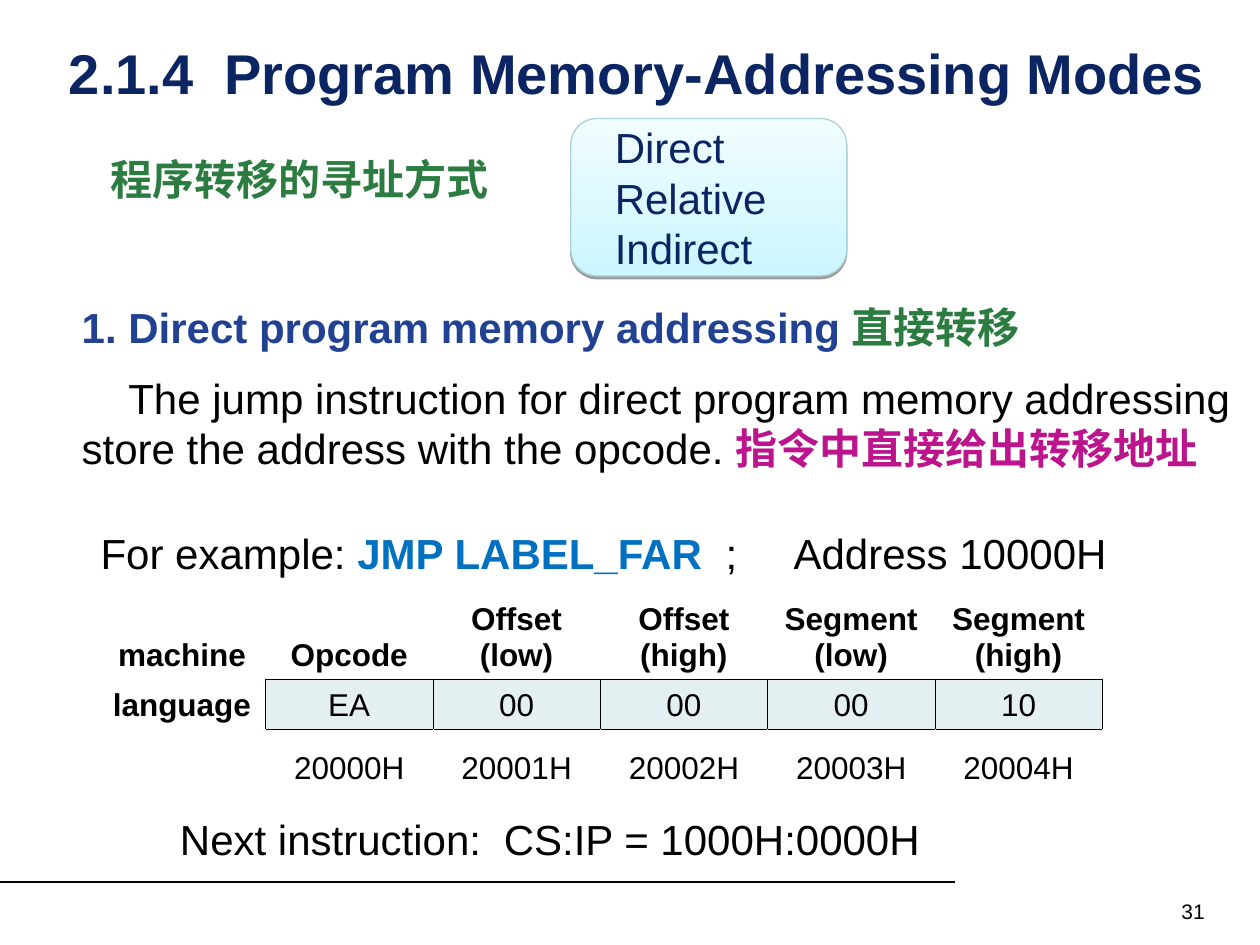
from lxml.etree import SubElement
from pptx import Presentation
from pptx.dml.color import RGBColor
from pptx.enum.shapes import MSO_CONNECTOR, MSO_SHAPE
from pptx.enum.text import MSO_ANCHOR, MSO_AUTO_SIZE, PP_ALIGN
from pptx.oxml.ns import qn
from pptx.util import Inches, Pt

BLACK, WHITE = "000000", "FFFFFF"
NAVY, BLUE, SKY = "0A2562", "214192", "0070C0"
GREEN, MAGENTA = "2C7C41", "BC148C"
DATA_FILL = "E4EFF2"
DATA_ROW = 1
MACHINE_CODE = [
    ["machine", "Opcode", "Offset\n(low)", "Offset\n(high)", "Segment\n(low)", "Segment\n(high)"],
    ["language", "EA", "00", "00", "00", "10"],
    ["", "20000H", "20001H", "20002H", "20003H", "20004H"],
]


def rgb(hex_color):
    return RGBColor.from_string(hex_color)


def add_run(paragraph, text, color=BLACK, bold=False, size=24):
    run = paragraph.add_run()
    run.text = text
    run.font.name = "Arial"
    run.font.size = Pt(size)
    run.font.bold = bold
    run.font.color.rgb = rgb(color)


def set_indent(paragraph, left=0, first=0):
    properties = paragraph._p.get_or_add_pPr()
    properties.set("marL", str(Inches(left)))
    properties.set("indent", str(Inches(first)))


def set_tabs(paragraph, *stops):
    tabs = SubElement(paragraph._p.get_or_add_pPr(), qn("a:tabLst"))
    for stop in stops:
        SubElement(tabs, qn("a:tab"), pos=str(Inches(stop)), algn="l")


def add_text_frame(slide, box):
    frame = slide.shapes.add_textbox(*map(Inches, box)).text_frame
    frame.word_wrap = True
    return frame


def add_title(slide, box):
    title = slide.shapes.title
    title.left, title.top, title.width, title.height = map(Inches, box)
    frame = title.text_frame
    frame.auto_size = MSO_AUTO_SIZE.NONE
    frame.vertical_anchor = MSO_ANCHOR.MIDDLE
    frame.paragraphs[0].alignment = PP_ALIGN.CENTER
    add_run(frame.paragraphs[0], "2.1.4  Program Memory-Addressing Modes", NAVY, True, 32)


def add_subtitle(slide, box):
    paragraph = add_text_frame(slide, box).paragraphs[0]
    add_run(paragraph, "程序转移的寻址方式", GREEN, True)


def add_mode_panel(slide, box):
    """Rounded panel that lists the three addressing modes."""
    panel = slide.shapes.add_shape(MSO_SHAPE.ROUNDED_RECTANGLE, *map(Inches, box))
    panel.fill.gradient()
    panel.fill.gradient_angle = 90
    for stop, color in zip(panel.fill.gradient_stops, ("CCF6FF", "F0FDFF")):
        stop.color.rgb = rgb(color)
    panel.line.color.rgb = rgb("ADD1D8")
    panel.line.width = Pt(0.75)

    panel.shadow.inherit = False
    effects = panel._element.spPr.find(qn("a:effectLst"))
    shadow = SubElement(effects, qn("a:outerShdw"), blurRad="0", dist=str(Pt(1.6)),
                        dir="5400000", rotWithShape="0")
    shadow_color = SubElement(shadow, qn("a:srgbClr"), val=BLACK)
    SubElement(shadow_color, qn("a:alpha"), val="38000")

    frame = panel.text_frame
    frame.vertical_anchor = MSO_ANCHOR.MIDDLE
    for index, mode in enumerate(("Direct", "Relative", "Indirect")):
        paragraph = frame.add_paragraph() if index else frame.paragraphs[0]
        paragraph.alignment = PP_ALIGN.LEFT
        set_indent(paragraph, left=0.19)
        add_run(paragraph, mode, NAVY)


def add_explanation(slide, box):
    frame = add_text_frame(slide, box)
    heading = frame.paragraphs[0]
    add_run(heading, "1. Direct program memory addressing ", BLUE, True)
    add_run(heading, "直接转移", GREEN, True)
    body = frame.add_paragraph()
    body.space_before = Pt(12)
    set_indent(body, first=0.37)
    add_run(body, "The jump instruction for direct program memory addressing "
                  "store the address with the opcode. ")
    add_run(body, "指令中直接给出转移地址", MAGENTA, True)


def add_example(slide, box):
    paragraph = add_text_frame(slide, box).paragraphs[0]
    set_tabs(paragraph, 4.96, 5.5)
    add_run(paragraph, "For example: ")
    add_run(paragraph, "JMP LABEL_FAR", SKY, True)
    add_run(paragraph, "\t;\tAddress 10000H")


def is_data(row, column):
    return row == DATA_ROW and 1 <= column < len(MACHINE_CODE[0])


def set_borders(cell, row, column):
    """Draw an edge black where it touches a data cell, else white."""
    neighbours = {"a:lnL": (row, column - 1), "a:lnR": (row, column + 1),
                  "a:lnT": (row - 1, column), "a:lnB": (row + 1, column)}
    for edge, neighbour in neighbours.items():
        color = BLACK if is_data(row, column) or is_data(*neighbour) else WHITE
        line = SubElement(cell._tc.get_or_add_tcPr(), qn(edge), w=str(Pt(0.45)))
        fill = SubElement(line, qn("a:solidFill"))
        SubElement(fill, qn("a:srgbClr"), val=color)


def add_machine_code(slide, box):
    row_count, column_count = len(MACHINE_CODE), len(MACHINE_CODE[0])
    table = slide.shapes.add_table(row_count, column_count, *map(Inches, box)).table
    table.first_row = table.horz_banding = False
    for row, height in zip(table.rows, (0.7, 0.4, 0.5)):
        row.height = Inches(height)
    for r, texts in enumerate(MACHINE_CODE):
        for c, text in enumerate(texts):
            cell = table.cell(r, c)
            cell.vertical_anchor = MSO_ANCHOR.BOTTOM
            set_borders(cell, r, c)
            if is_data(r, c):
                cell.fill.solid()
                cell.fill.fore_color.rgb = rgb(DATA_FILL)
            else:
                cell.fill.background()
            for index, part in enumerate(text.split("\n") if text else []):
                frame = cell.text_frame
                paragraph = frame.add_paragraph() if index else frame.paragraphs[0]
                paragraph.alignment = PP_ALIGN.CENTER
                add_run(paragraph, part, bold=r == 0 or c == 0, size=18)


def add_next_instruction(slide, box):
    paragraph = add_text_frame(slide, box).paragraphs[0]
    set_tabs(paragraph, 2.57)
    add_run(paragraph, "Next instruction:\tCS:IP = 1000H:0000H")


def add_footer_rule(slide, width, top):
    rule = slide.shapes.add_connector(MSO_CONNECTOR.STRAIGHT, 0, Inches(top),
                                      Inches(width), Inches(top))
    rule.line.color.rgb = rgb(BLACK)
    rule.line.width = Pt(0.75)
    SubElement(rule._element.spPr, qn("a:effectLst"))


def add_page_number(slide, box):
    paragraph = add_text_frame(slide, box).paragraphs[0]
    paragraph.alignment = PP_ALIGN.RIGHT
    add_run(paragraph, "31", size=12)


def main():
    presentation = Presentation()
    presentation.slide_width, presentation.slide_height = Inches(10), Inches(7.5)
    slide = presentation.slides.add_slide(presentation.slide_layouts[5])
    add_footer_rule(slide, 7.58, 7)
    add_title(slide, (0.31, 0.23, 9.5, 0.69))
    add_page_number(slide, (7.33, 7.08, 2.33, 0.27))
    add_subtitle(slide, (0.78, 1.17, 3.44, 0.5))
    add_mode_panel(slide, (4.53, 0.94, 2.19, 1.25))
    add_explanation(slide, (0.55, 2.34, 9.38, 1.47))
    add_example(slide, (0.7, 4.14, 8.89, 0.5))
    add_machine_code(slide, (0.78, 4.69, 7.97, 1.6))
    add_next_instruction(slide, (1.33, 6.41, 6.95, 0.5))
    presentation.save("out.pptx")


if __name__ == "__main__":
    main()
